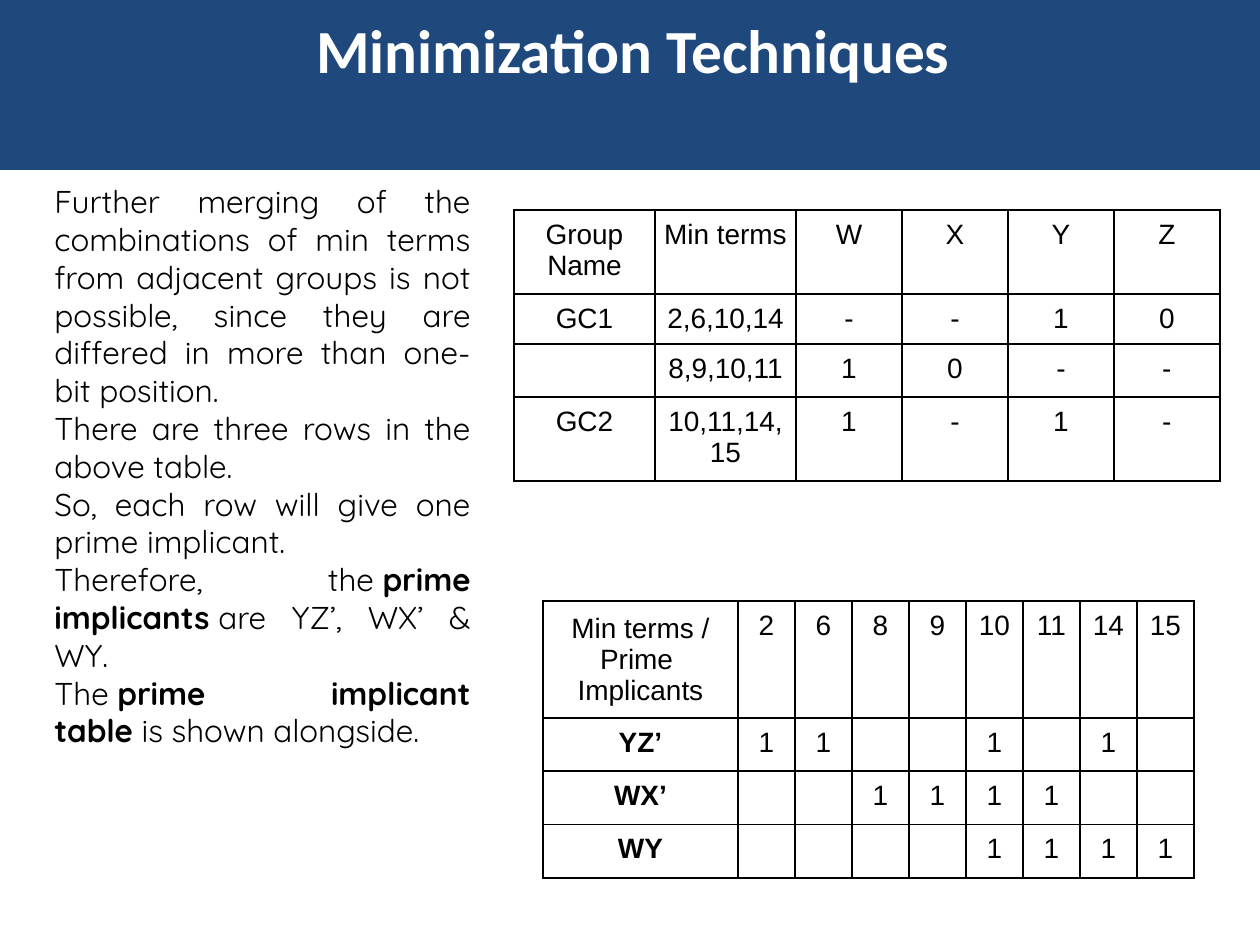
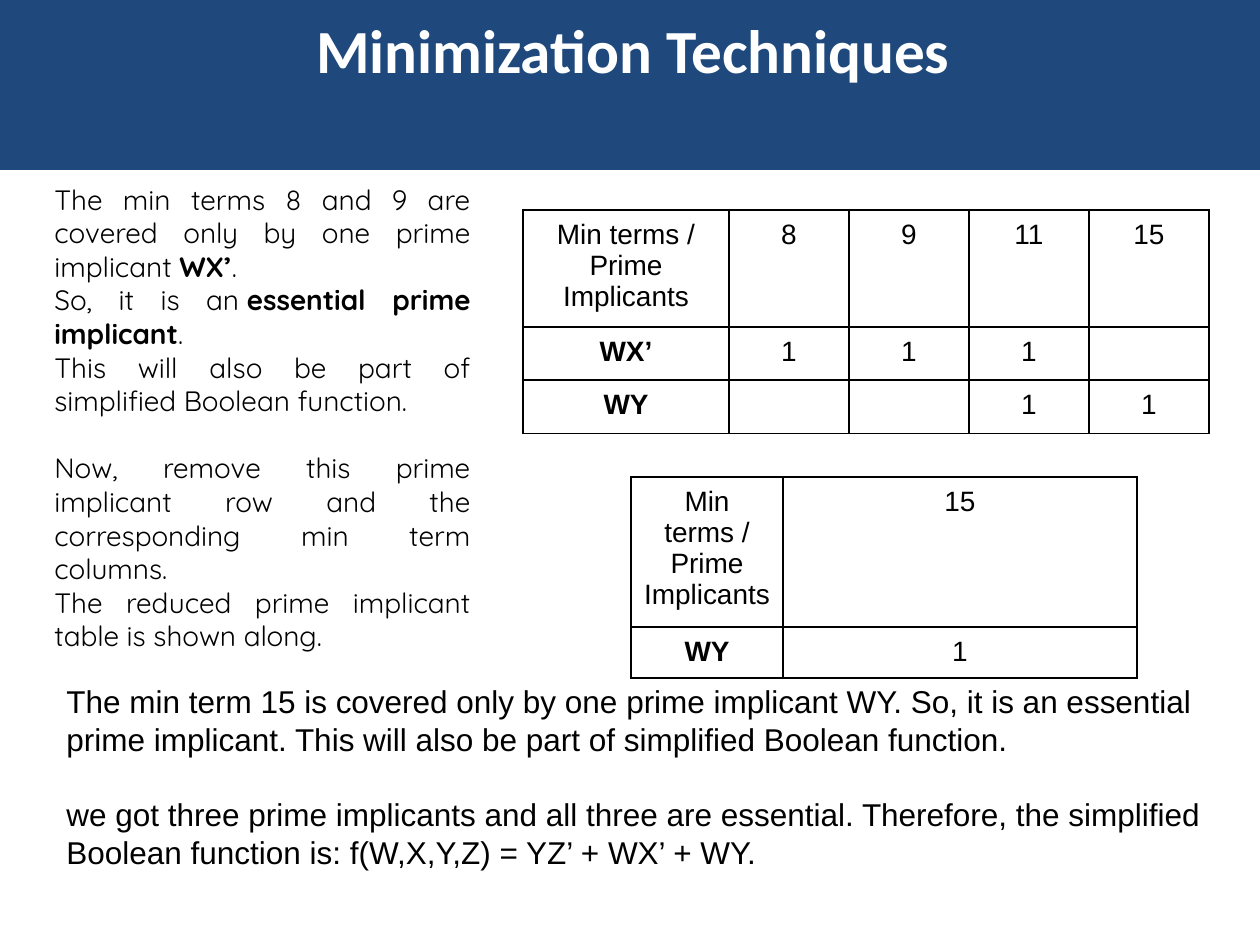
import pptx
import pptx.util
import pptx.dml.color
import pptx.enum.shapes
import pptx.enum.text
import pptx.oxml
import pptx.oxml.ns
import lxml.etree

RGB = pptx.dml.color.RGBColor
NAVY = RGB(0x1F, 0x49, 0x7D)
WHITE = RGB(0xFF, 0xFF, 0xFF)
BLACK = RGB(0x00, 0x00, 0x00)
ALIGN = pptx.enum.text.PP_ALIGN
ANCHOR = pptx.enum.text.MSO_ANCHOR
FIT = pptx.enum.text.MSO_AUTO_SIZE
PT = pptx.util.Pt
SCALE = 914400 / 126

HEAD = {"name": "Calibri", "size": PT(35), "bold": True}
BODY = {"name": "Quicksand", "size": PT(18), "bold": False}
SMALL = {**BODY, "size": PT(16)}
PLAIN = {"name": "Arial", "size": PT(18), "bold": False}
CELL = {**PLAIN, "size": PT(16)}
FRAME = {"word_wrap": True, "auto_size": FIT.NONE, "vertical_anchor": ANCHOR.TOP}
INSET = 9
LABEL = "Min terms / Prime Implicants"


def px(num):
    return round(num * SCALE)


def style(item, form):
    for key, val in form.items():
        setattr(item, key, val)


def write(para, text, form, color=BLACK):
    for num, part in enumerate(text.split("*")):
        if part or not text:
            run = para.add_run()
            run.text = part
            style(run.font, form)
            run.font.color.rgb = color
            if num % 2:
                run.font.bold = True


def fill_text(frame, lines, form, align, gaps=None):
    for num, line in enumerate(lines):
        para = frame.paragraphs[0] if num == 0 else frame.add_paragraph()
        para.alignment = align
        if gaps and num in gaps:
            para.space_before = PT(gaps[num])
        write(para, line, form)


def header(slide, box):
    left, top, wide, high = box
    title = slide.shapes.title
    band = slide.shapes.add_shape(
        pptx.enum.shapes.MSO_SHAPE.RECTANGLE, *map(px, box))
    band.shadow.inherit = False
    band.fill.solid()
    band.fill.fore_color.rgb = NAVY
    band.line.fill.background()
    title.element.addprevious(band.element)
    style(title, {"left": px(left + 10), "top": px(top + 6),
                  "width": px(wide), "height": px(high - 5)})
    style(title.text_frame, FRAME)
    para = title.text_frame.paragraphs[0]
    para.alignment = ALIGN.CENTER
    write(para, "Minimization Techniques ", HEAD, WHITE)


def prose(slide, box, lines, form, align, gaps=None):
    frame = slide.shapes.add_textbox(*map(px, box)).text_frame
    style(frame, FRAME)
    fill_text(frame, lines, form, align, gaps)


def border(cell):
    props = cell._tc.get_or_add_tcPr()
    for num, side in enumerate(("lnL", "lnR", "lnT", "lnB")):
        line = lxml.etree.Element(pptx.oxml.ns.qn("a:" + side), w=str(PT(1)))
        solid = lxml.etree.SubElement(line, pptx.oxml.ns.qn("a:solidFill"))
        lxml.etree.SubElement(solid, pptx.oxml.ns.qn("a:srgbClr"), val=str(BLACK))
        props.insert(num, line)


def grid(slide, spot, cols, rows, data):
    table = slide.shapes.add_table(
        len(rows), len(cols), *map(px, (*spot, sum(cols), sum(rows)))).table
    style(table, {"first_row": False, "horz_banding": False})
    for col, wide in zip(table.columns, cols):
        col.width = px(wide)
    for row, high in zip(table.rows, rows):
        row.height = px(high)
    for y, line in enumerate(data):
        for x, text in enumerate(line.split("|")):
            cell = table.cell(y, x)
            cell.fill.background()
            border(cell)
            style(cell, {"margin_" + side: px(INSET)
                         for side in ("left", "right", "top", "bottom")})
            lines = text.split("\n")
            if len(lines) > 1:
                cell.vertical_anchor = ANCHOR.MIDDLE
            fill_text(cell.text_frame, lines, CELL, ALIGN.CENTER)


def start(deck):
    slide = deck.slides.add_slide(deck.slide_layouts[5])
    header(slide, (0, 0, 1260, 170))
    return slide


def merge(deck):
    slide = start(deck)
    prose(slide, (42, 176, 441, 585), [
        "Further merging of the combinations of min terms from adjacent groups "
        "is not possible, since they are differed in more than one-bit position. ",
        "There are three rows in the above table. ",
        "So, each row will give one prime implicant. ",
        "Therefore, the\u00a0*prime implicants*\u00a0are YZ’, WX’ & WY.",
        "The\u00a0*prime implicant table*\u00a0is shown alongside.",
    ], BODY, ALIGN.JUSTIFY)
    grid(slide, (514, 210), [141] * 2 + [106] * 4, [84, 50, 50, 84], [
        "Group Name|Min terms|W|X|Y|Z",
        "GC1|2,6,10,14|-|-|1|0",
        "|8,9,10,11|1|0|-|-",
        "GC2|10,11,14,15|1|-|1|-",
    ])
    grid(slide, (543, 601), [195] + [57] * 8, [117] + [50] * 3, [
        "Min terms /\nPrime \nImplicants|2|6|8|9|10|11|14|15",
        "*YZ’*|1|1|||1||1|",
        "*WX’*|||1|1|1|1||",
        "*WY*|||||1|1|1|1",
    ])


def reduce(deck):
    slide = start(deck)
    prose(slide, (42, 176, 441, 496), [
        "The min terms 8 and 9 are covered only by one prime implicant\u00a0*WX’*. ",
        "So, it is an\u00a0*essential prime implicant*. ",
        "This will also be part of simplified Boolean function.",
        "Now, remove this prime implicant row and the corresponding "
        "min term columns. ",
        "The reduced prime implicant table is shown along.",
    ], SMALL, ALIGN.JUSTIFY, {3: 19.2})
    grid(slide, (523, 210), [206] + [120] * 4, [117, 50, 50], [
        LABEL + "|8|9|11|15",
        "*WX’*|1|1|1|",
        "*WY*|||1|1",
    ])
    grid(slide, (631, 477), [152, 354], [150, 51], [LABEL + "|15", "*WY*|1"])
    prose(slide, (54, 676, 1172, 204), [
        "The min term 15 is covered only by one prime implicant WY. So, it is an "
        "essential prime implicant. This will also be part of simplified "
        "Boolean function.",
        "we got three prime implicants and all three are essential. Therefore, "
        "the simplified Boolean function is: f(W,X,Y,Z) = YZ’ + WX’ + WY.",
    ], PLAIN, ALIGN.LEFT, {1: 21.4})


def main():
    deck = pptx.Presentation()
    style(deck, {"slide_width": px(1260), "slide_height": px(945)})
    merge(deck)
    reduce(deck)
    deck.save("out.pptx")


if __name__ == "__main__":
    main()
